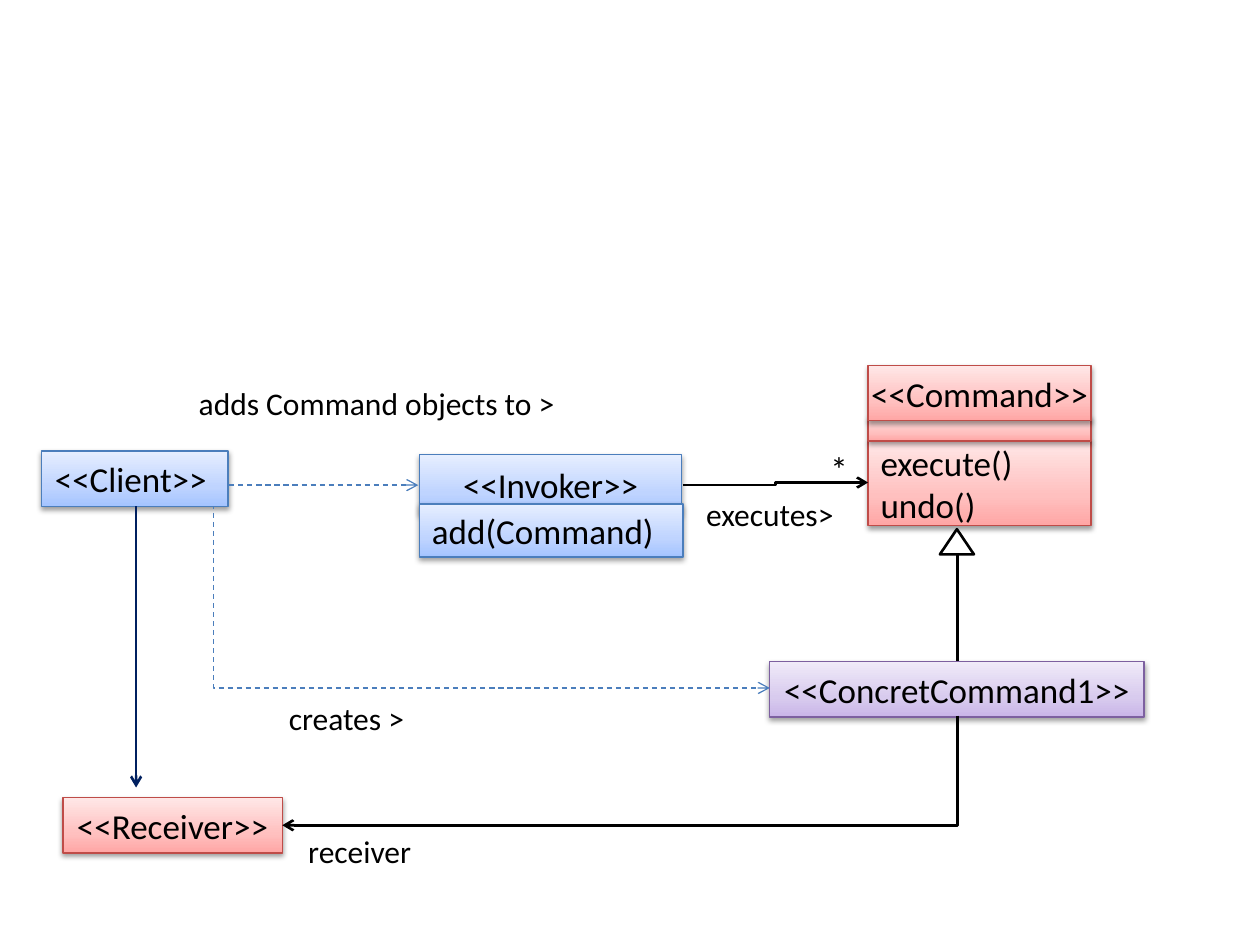
from copy import deepcopy

from lxml import etree
from pptx import Presentation
from pptx import util as u
from pptx.dml.color import RGBColor
from pptx.enum import dml, shapes, text
from pptx.oxml.ns import qn

FONT = "Calibri"
BLACK = "000000"
NAVY = "002060"
RED = {"edge": "BF4C48", "stops": ("FFA6A5", "FFC0BF", "FFE7E7")}
BLUE = {"edge": "4B7EBC", "stops": ("A4C4FF", "BFD4FF", "E6EEFF")}
PURPLE = {"edge": "7D60A0", "stops": ("C9B5E8", "D8CBEE", "F0EAF9")}
STOP_POSITIONS = (0, 0.35, 1)
LEFT, CENTER = text.PP_ALIGN.LEFT, text.PP_ALIGN.CENTER
ELBOW = shapes.MSO_CONNECTOR.ELBOW
STRAIGHT = shapes.MSO_CONNECTOR.STRAIGHT


def color(value):
    """Return the colour for a hex string."""
    return RGBColor.from_string(value)


def inches(values):
    """Return the numbers as lengths."""
    return [u.Inches(value) for value in values]


def apply(target, values):
    """Set each attribute of the target from a dict."""
    for name, value in values.items():
        setattr(target, name, value)


def child(parent, tag, **attributes):
    """Append an XML child with string attributes."""
    element = etree.SubElement(parent, qn(tag))
    for name, value in attributes.items():
        element.set(name, str(value))
    return element


def style_line(line, edge, width):
    """Give an outline its colour and width."""
    line.color.rgb = color(edge)
    line.width = u.Pt(width)


def shade(box, stops):
    """Fill a box with a vertical gradient, darkest at the bottom."""
    box.fill.gradient()
    stop_list = box.element.spPr.find(".//" + qn("a:gsLst"))
    stop_list.append(deepcopy(stop_list[0]))
    for stop, position, value in zip(box.fill.gradient_stops, STOP_POSITIONS, stops):
        stop.position = position
        stop.color.rgb = color(value)
    box.fill.gradient_angle = 90


def drop_shadow(box):
    """Add a soft shadow below a box."""
    box.shadow.inherit = False
    effects = box.element.spPr.find(qn("a:effectLst"))
    shadow = child(effects, "a:outerShdw", blurRad=u.Pt(3.1), dist=u.Pt(1.6),
                   dir=90 * 60000, rotWithShape=0)
    child(child(shadow, "a:srgbClr", val=BLACK), "a:alpha", val=38000)


def write(shape, lines, size, align=CENTER, grow=False, wrap=False):
    """Write one paragraph per line into a shape."""
    fit = text.MSO_AUTO_SIZE.SHAPE_TO_FIT_TEXT if grow else text.MSO_AUTO_SIZE.NONE
    frame = shape.text_frame
    frame.text = "\n".join(lines)
    apply(frame, {"word_wrap": wrap, "auto_size": fit,
                  "vertical_anchor": text.MSO_ANCHOR.MIDDLE})
    for paragraph in frame.paragraphs:
        paragraph.alignment = align
        apply(paragraph.font, {"name": FONT, "size": u.Pt(size)})
        paragraph.font.color.rgb = color(BLACK)


def add_box(slide, at, palette, lines=(), align=CENTER, grow=False):
    """Add a class box or one compartment of it."""
    box = slide.shapes.add_shape(shapes.MSO_SHAPE.RECTANGLE, *inches(at))
    shade(box, palette["stops"])
    style_line(box.line, palette["edge"], 0.75)
    drop_shadow(box)
    if lines:
        write(box, lines, 20, align, grow)


def add_label(slide, at, wording, size=18, wrap=False):
    """Add the label of a relation."""
    label = slide.shapes.add_textbox(*inches(at))
    write(label, [wording], size, grow=True, wrap=wrap)


def add_inheritance_head(slide, at):
    """Add the hollow triangle of an inheritance relation."""
    triangle = slide.shapes.add_shape(shapes.MSO_SHAPE.ISOSCELES_TRIANGLE, *inches(at))
    triangle.fill.background()
    triangle.shadow.inherit = False
    style_line(triangle.line, BLACK, 1.5)


def add_relation(slide, kind, ends, edge=BLACK, width=1.5, dashed=False, arrow=True):
    """Add a relation line, with an open arrowhead at its end."""
    relation = slide.shapes.add_connector(kind, *inches(ends))
    style_line(relation.line, edge, width)
    if dashed:
        relation.line.dash_style = dml.MSO_LINE.DASH
    properties = relation.element.spPr
    if arrow:
        child(properties.find(qn("a:ln")), "a:tailEnd", type="arrow")
    child(properties, "a:effectLst")
    return relation


def bend_at(relation, share):
    """Place the bend of an elbow at a share of its width."""
    adjustments = relation.element.spPr.find(".//" + qn("a:avLst"))
    child(adjustments, "a:gd", name="adj1", fmla=f"val {round(share * 100000)}")


def add_corner_relation(slide, start, end):
    """Add a relation that runs down from its start, then left to its end."""
    (right, top), (left, bottom) = start, end
    center_x, center_y = (left + right) / 2, (top + bottom) / 2
    half_width, half_height = (bottom - top) / 2, (right - left) / 2
    relation = add_relation(slide, ELBOW, (
        center_x - half_width, center_y - half_height,
        center_x + half_width, center_y + half_height))
    properties = relation.element.spPr
    properties.find(qn("a:prstGeom")).set("prst", "bentConnector2")
    properties.find(qn("a:xfrm")).set("rot", str(90 * 60000))


def add_classes(slide):
    """Add the class boxes of the command pattern."""
    add_box(slide, (6.89, 3.5, 1.77, 0.67), RED, ["execute()", "undo()"], LEFT)
    add_box(slide, (6.89, 3.31, 1.77, 0.19), RED)
    add_box(slide, (6.89, 2.9, 1.77, 0.44), RED, ["<<Command>>"])
    add_box(slide, (6.11, 5.25, 2.97, 0.44), PURPLE, ["<<ConcretCommand1>>"], grow=True)
    add_box(slide, (3.33, 3.61, 2.08, 0.47), BLUE, ["<<Invoker>>"])
    add_box(slide, (3.33, 4, 2.09, 0.42), BLUE, ["add(Command)"], LEFT)
    add_box(slide, (0.5, 6.33, 1.74, 0.44), RED, ["<<Receiver>>"], grow=True)
    add_box(slide, (0.33, 3.58, 1.48, 0.44), BLUE, ["<<Client>> "], grow=True)


def add_relations(slide):
    """Add the lines between the classes."""
    dependency = {"edge": BLUE["edge"], "width": 0.75, "dashed": True}
    add_relation(slide, STRAIGHT, (1.82, 3.85, 3.32, 3.85), **dependency)
    creates = add_relation(slide, ELBOW, (1.67, 4.02, 6.11, 5.46), **dependency)
    bend_at(creates, 0.005)
    add_relation(slide, ELBOW, (5.42, 3.85, 6.89, 3.83))
    add_relation(slide, STRAIGHT, (1.08, 4.02, 1.08, 6.25), NAVY)
    add_inheritance_head(slide, (7.46, 4.2, 0.27, 0.2))
    add_relation(slide, ELBOW, (7.6, 4.39, 7.6, 5.25), arrow=False)
    add_corner_relation(slide, (7.6, 5.68), (2.24, 6.55))


def add_labels(slide):
    """Add the names and multiplicity of the relations."""
    add_label(slide, (1.46, 3, 3.06, 0.4), "adds Command objects to >")
    add_label(slide, (2.17, 5.5, 1.16, 0.4), "creates >")
    add_label(slide, (5.5, 3.88, 1.22, 0.4), "executes>")
    add_label(slide, (2.34, 6.55, 1.03, 0.4), "receiver")
    add_label(slide, (6.49, 3.5, 0.34, 0.43), "*", size=20, wrap=True)


def main():
    """Build the class diagram of the command pattern."""
    deck = Presentation()
    apply(deck, {"slide_width": u.Inches(10), "slide_height": u.Inches(7.5)})
    slide = deck.slides.add_slide(deck.slide_layouts[6])
    add_classes(slide)
    add_relations(slide)
    add_labels(slide)
    deck.save("out.pptx")


if __name__ == "__main__":
    main()
